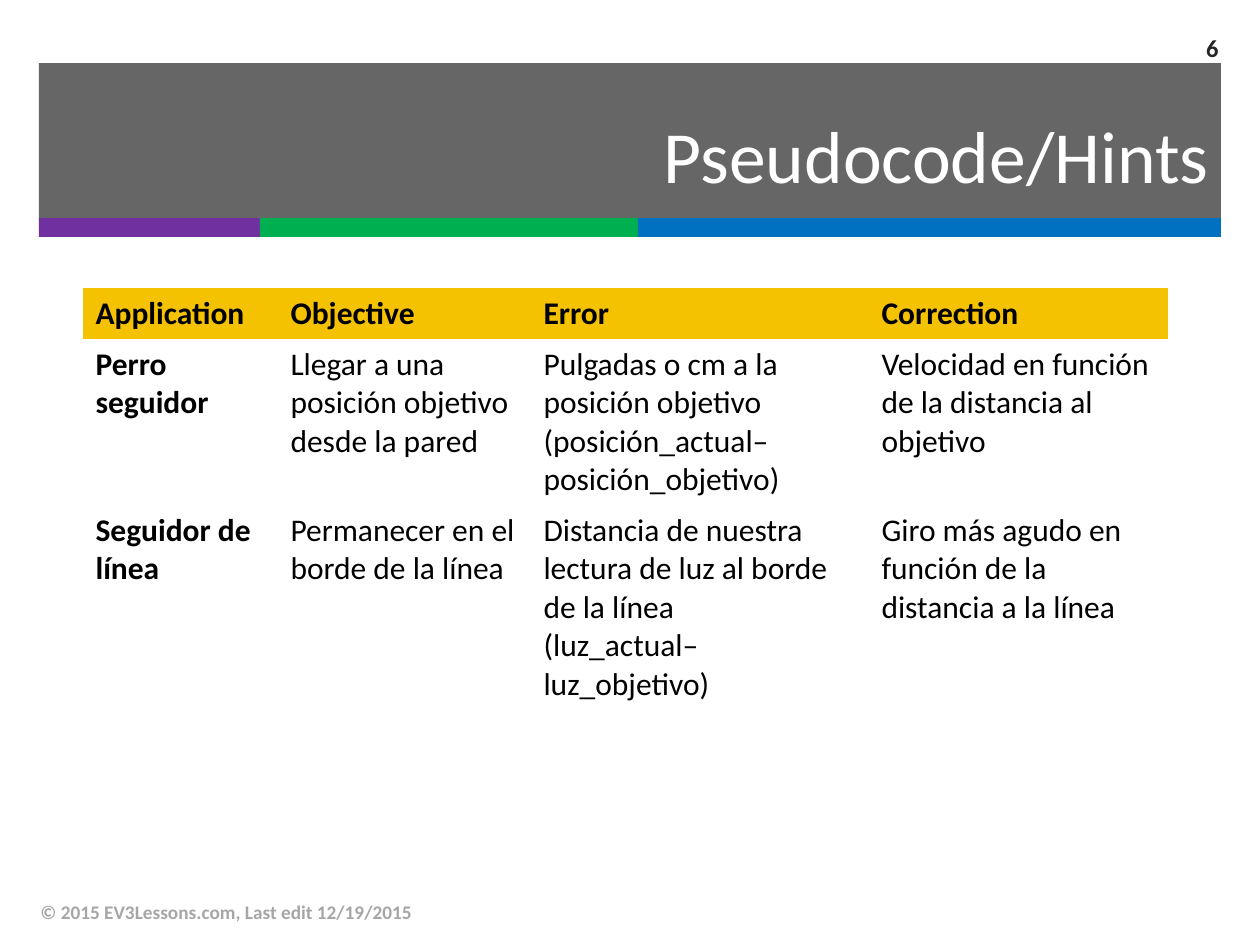
from lxml import etree
from pptx import Presentation
from pptx.dml.color import RGBColor
from pptx.enum.shapes import MSO_SHAPE as Shape
from pptx.enum.text import MSO_ANCHOR as Anchor, PP_ALIGN as Align
from pptx.oxml.ns import qn
from pptx.util import Pt

PX = 914400 // 126  # EMU per pixel
NO_STYLE_NO_GRID = "{2D5ABB26-0587-4C30-8999-92F81FD0307C}"


def rgb(value):
    return RGBColor.from_string(value)


def write(frame, text, size=18, color="000000", bold=False, align=Align.LEFT,
          anchor=Anchor.TOP):
    frame.word_wrap = True
    frame.vertical_anchor = anchor
    frame.text = text
    paragraph = frame.paragraphs[0]
    paragraph.alignment = align
    for run in paragraph.runs:
        run.font.name = "Calibri"
        run.font.size = Pt(size)
        run.font.bold = bold
        run.font.color.rgb = rgb(color)


deck = Presentation()
deck.slide_width, deck.slide_height = 1260 * PX, 945 * PX
slide = deck.slides.add_slide(deck.slide_layouts[6])

# Header band with the coloured strip along its foot
bands = [
    (39, 63, 1182, 156, "262626", 70),
    (39, 218, 221, 19, "7030A0", 100),
    (260, 218, 378, 19, "00B050", 100),
    (638, 218, 583, 19, "0070C0", 100),
]
for left, top, width, height, color, opacity in bands:
    band = slide.shapes.add_shape(Shape.RECTANGLE, left * PX, top * PX, width * PX, height * PX)
    band.shadow.inherit = False
    band.line.fill.background()
    band.fill.solid()
    band.fill.fore_color.rgb = rgb(color)
    if opacity < 100:
        tint = band._element.spPr.find(qn("a:solidFill"))[0]
        etree.SubElement(tint, qn("a:alpha"), val=str(opacity * 1000))

# Title, slide number and footer
labels = [
    (39, 87, 1182, 134, "Pseudocode/Hints", 42, "FFFFFF", False, Align.RIGHT),
    (1144, 23, 87, 49, "6", 14, "262626", True, Align.RIGHT),
    (28, 887, 844, 50, "© 2015 EV3Lessons.com, Last edit 12/19/2015", 11, "A6A6A6", True, Align.LEFT),
]
for left, top, width, height, text, size, color, bold, align in labels:
    label = slide.shapes.add_textbox(left * PX, top * PX, width * PX, height * PX)
    write(label.text_frame, text, size=size, color=color, bold=bold, align=align,
          anchor=Anchor.MIDDLE)

# Table of applications
applications = [
    ["Application", "Objective", "Error", "Correction"],
    ["Perro seguidor",
     "Llegar a una posición objetivo desde la pared",
     "Pulgadas o cm a la posición objetivo (posición_actual– posición_objetivo)",
     "Velocidad en función de la distancia al objetivo"],
    ["Seguidor de línea",
     "Permanecer en el borde de la línea",
     "Distancia de nuestra lectura de luz al borde de la línea\v(luz_actual– luz_objetivo)",
     "Giro más agudo en función de la distancia a la línea"],
]
column_widths = [195, 253, 338, 299]
row_heights = [51, 166, 204]
table = slide.shapes.add_table(
    len(row_heights), len(column_widths), 83 * PX, 288 * PX,
    sum(column_widths) * PX, sum(row_heights) * PX).table
table.horz_banding = False
table._tbl.tblPr.find(qn("a:tableStyleId")).text = NO_STYLE_NO_GRID
for column, width in zip(table.columns, column_widths):
    column.width = width * PX
for r, (row, height) in enumerate(zip(applications, row_heights)):
    table.rows[r].height = height * PX
    for c, text in enumerate(row):
        cell = table.cell(r, c)
        write(cell.text_frame, text, bold=r == 0 or c == 0)
        if r == 0:
            cell.fill.solid()
            cell.fill.fore_color.rgb = rgb("F5C201")
        else:
            cell.fill.background()

deck.save("out.pptx")
